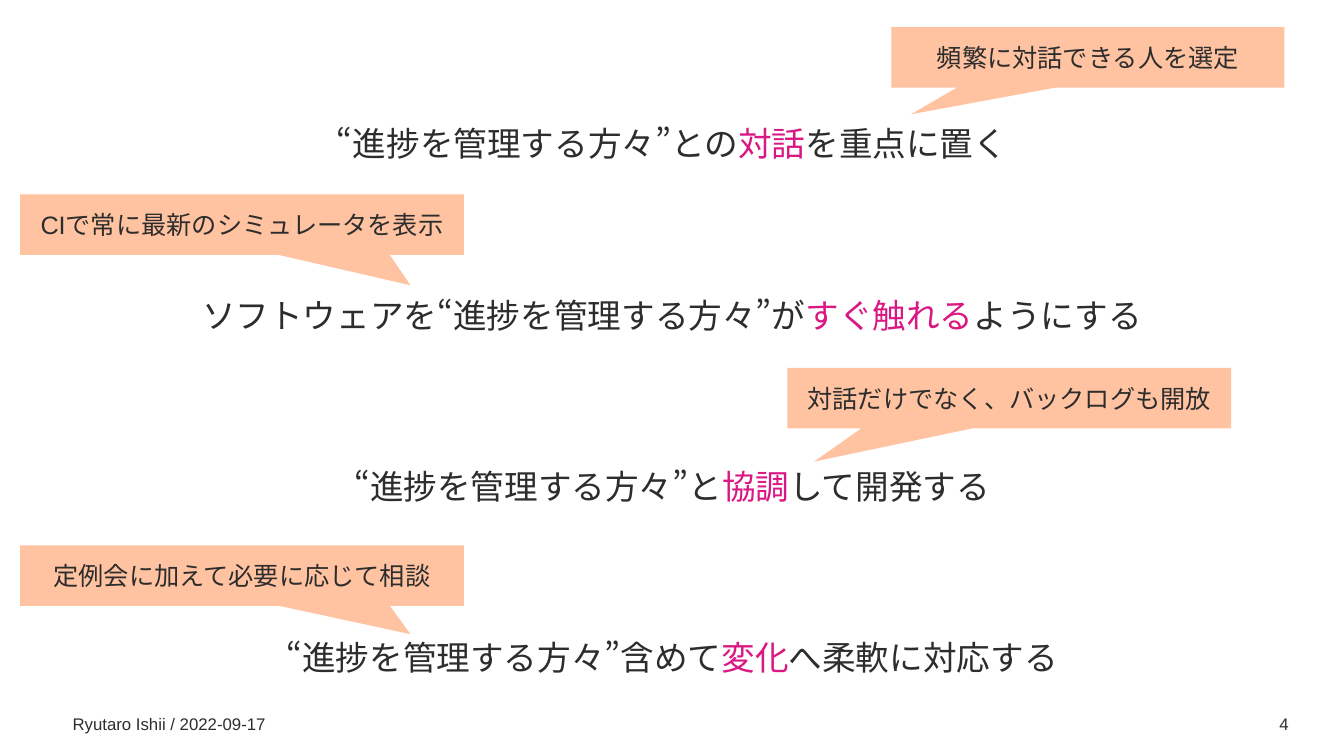
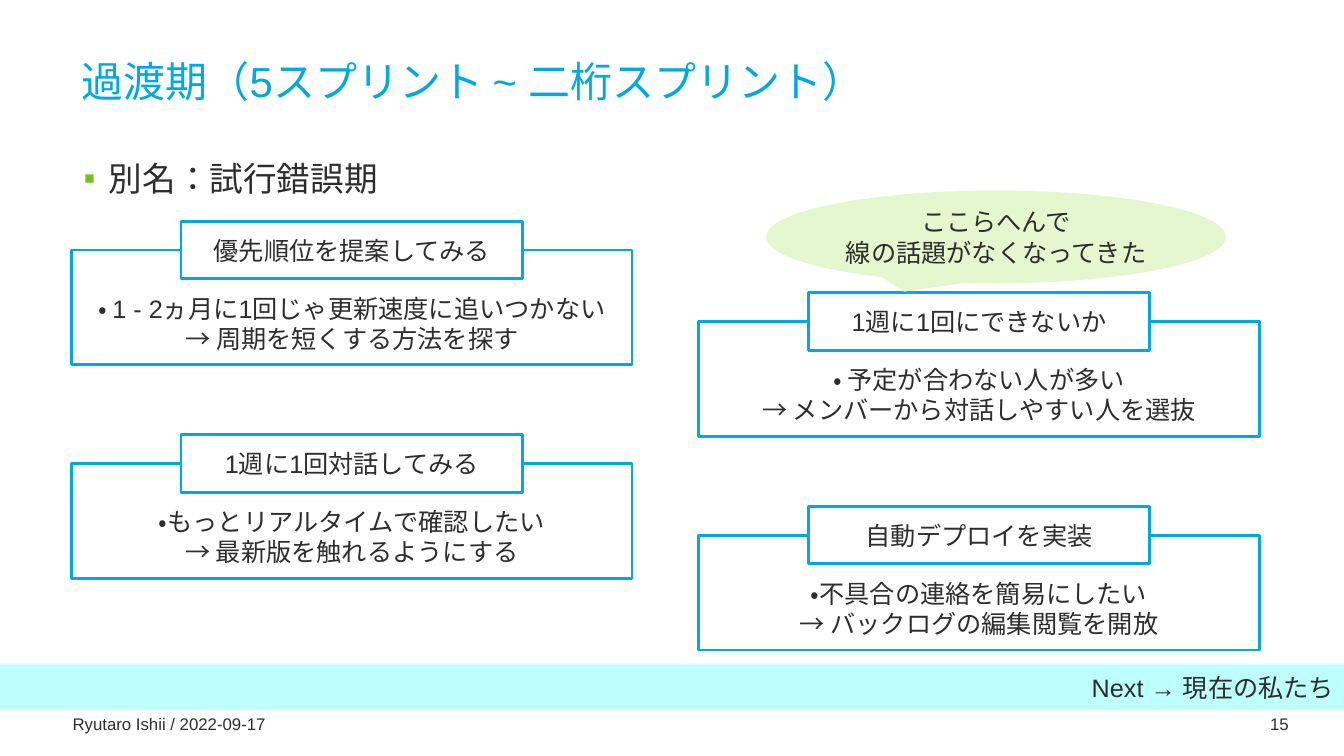
from lxml.etree import SubElement
from pptx import Presentation
from pptx.dml.color import RGBColor
from pptx.enum.lang import MSO_LANGUAGE_ID as Language
from pptx.enum.shapes import MSO_SHAPE as Shape
from pptx.enum.text import MSO_ANCHOR as Anchor, MSO_AUTO_SIZE as AutoSize, PP_ALIGN as Align
from pptx.oxml.ns import qn
from pptx.util import Inches, Pt

WIDTH, HEIGHT = 13.33, 7.5
FONT = "Arial"
INK = RGBColor(0x2D, 0x2D, 0x2D)
PINK = RGBColor(0xDA, 0x18, 0x84)
BLUE = RGBColor(0x00, 0xA9, 0xE0)
GREEN = RGBColor(0x78, 0xBE, 0x20)
PEACH = RGBColor(0xFF, 0xC3, 0xA1)
LIME = RGBColor(0xE5, 0xF7, 0xCE)
AQUA = RGBColor(0xBD, 0xFF, 0xFC)
WHITE = RGBColor(0xFF, 0xFF, 0xFF)

FOOTER = "Ryutaro Ishii / 2022-09-17"

# Each principle: words before, highlighted words, words after
PRINCIPLES = [
    ("“進捗を管理する方々”との", "対話", "を重点に置く"),
    ("ソフトウェアを“進捗を管理する方々”が", "すぐ触れる", "ようにする"),
    ("“進捗を管理する方々”と", "協調", "して開発する"),
    ("“進捗を管理する方々”含めて", "変化", "へ柔軟に対応する"),
]
# Each callout: text, left, top, width, pointer offsets
CALLOUTS = [
    ("頻繁に対話できる人を選定", 8.84, 0.27, 3.9, (-0.45, 0.94)),
    ("CIで常に最新のシミュレータを表示", 0.2, 1.93, 4.4, (0.38, 1)),
    ("対話だけでなく、バックログも開放", 7.81, 3.65, 4.4, (-0.44, 1.05)),
    ("定例会に加えて必要に応じて相談", 0.2, 5.41, 4.4, (0.38, 0.97)),
]
CALLOUT_HEIGHT = 0.6

PHASE_TITLE = "過渡期（5スプリント ~ 二桁スプリント）"
PHASE_ALIAS = "別名：試行錯誤期"
# Cards by column, top to bottom: heading, then lines
CARD_COLUMNS = [
    [
        ("優先順位を提案してみる",
         ["・ 1 - 2ヵ月に1回じゃ更新速度に追いつかない", "→ 周期を短くする方法を探す"]),
        ("1週に1回対話してみる",
         ["・もっとリアルタイムで確認したい", "→ 最新版を触れるようにする"]),
    ],
    [
        ("1週に1回にできないか",
         ["・ 予定が合わない人が多い", "→ メンバーから対話しやすい人を選抜"]),
        ("自動デプロイを実装",
         ["・不具合の連絡を簡易にしたい", "→ バックログの編集閲覧を開放"]),
    ],
]
CARD_LEFT, CARD_TOP, CARD_WIDTH, CARD_HEIGHT = 0.71, 2.48, 5.56, 1.14
COLUMN_STEP, ROW_STEP, STAGGER = 6.22, 2.12, 0.71
HEADING_WIDTH, HEADING_HEIGHT = 3.39, 0.57
BUBBLE_LINES = ["ここらへんで", "線の話題がなくなってきた"]
NEXT_TEXT = "Next → 現在の私たち"


def write(frame, lines, size=18, color=INK, align=Align.CENTER, anchor=Anchor.MIDDLE,
          wrap=True, margins=(0.1, 0.05, 0.1, 0.05), gap=0, line_height=None):
    """Fill a frame; a line is a string or a list of (text, colour) spans."""
    frame.auto_size = AutoSize.NONE
    frame.word_wrap = wrap
    frame.vertical_anchor = anchor
    (frame.margin_left, frame.margin_top,
     frame.margin_right, frame.margin_bottom) = map(Inches, margins)
    for index, line in enumerate(lines):
        para = frame.add_paragraph() if index else frame.paragraphs[0]
        para.alignment = align
        para.space_before = Pt(gap if index else 0)
        if line_height:
            para.line_spacing = Pt(line_height)
        spans = [(line, color)] if isinstance(line, str) else line
        for text, span_color in spans:
            span = para.add_run()
            span.text = text
            span.font.name = FONT
            span.font.size = Pt(size)
            span.font.color.rgb = span_color
            span.font.language_id = Language.JAPANESE


def place(shape, left, top, width, height):
    shape.left, shape.top = Inches(left), Inches(top)
    shape.width, shape.height = Inches(width), Inches(height)
    return shape.text_frame


def set_bullet(para, char=None, color=None, indent=0):
    props = para._p.get_or_add_pPr()
    props.set("marL", str(Inches(indent)))
    props.set("indent", str(-Inches(indent)))
    if char:
        fill = SubElement(props, qn("a:buClr"))
        SubElement(fill, qn("a:srgbClr"), val=str(color))
        SubElement(props, qn("a:buFont"), typeface=FONT)
        SubElement(props, qn("a:buChar"), char=char)
    else:
        SubElement(props, qn("a:buNone"))


def add_box(shapes, kind, at, lines, fill=None, line=None, pointer=(), **text_format):
    box = shapes.add_shape(kind, *map(Inches, at))
    box.shadow.inherit = False
    for index, offset in enumerate(pointer):
        box.adjustments[index] = offset
    if fill is None:
        box.fill.background()
    else:
        box.fill.solid()
        box.fill.fore_color.rgb = fill
    if line is None:
        box.line.fill.background()
    else:
        box.line.color.rgb = line
        box.line.width = Pt(2)
    write(box.text_frame, lines, **text_format)


def add_page(deck, number):
    """Add a title-and-body page with the shared footer."""
    page = deck.slides.add_slide(deck.slide_layouts[1])
    footer = page.shapes.add_textbox(*map(Inches, (0.72, 7.06, 5.47, 0.26)))
    write(footer.text_frame, [FOOTER], size=12, align=Align.LEFT, wrap=False,
          margins=(0, 0, 0.02, 0.01))
    counter = page.shapes.add_textbox(*map(Inches, (12.33, 7.03, 0.55, 0.29)))
    write(counter.text_frame, [str(number)], size=12, align=Align.RIGHT, anchor=Anchor.TOP)
    return page


def add_principles(deck):
    page = add_page(deck, 4)
    title = page.shapes.title
    title.element.getparent().remove(title.element)
    frame = place(page.placeholders[1], 0.7, 1.15, 11.93, 5.55)
    lines = [list(zip(parts, (INK, PINK, INK))) for parts in PRINCIPLES]
    write(frame, lines, size=24, anchor=Anchor.TOP, margins=(0.1, 0, 0.1, 0),
          gap=88.4, line_height=34)
    for para in frame.paragraphs:
        set_bullet(para)
    for text, left, top, width, pointer in CALLOUTS:
        add_box(page.shapes, Shape.RECTANGULAR_CALLOUT, (left, top, width, CALLOUT_HEIGHT),
                [text], fill=PEACH, pointer=pointer)


def add_card(page, left, top, heading, lines):
    shapes = page.shapes.add_group_shape().shapes
    add_box(shapes, Shape.RECTANGLE, (left, top, CARD_WIDTH, CARD_HEIGHT), lines,
            line=BLUE, margins=(0, 0.36, 0, 0.05))
    heading_at = (left + (CARD_WIDTH - HEADING_WIDTH) / 2, top - HEADING_HEIGHT / 2,
                  HEADING_WIDTH, HEADING_HEIGHT)
    add_box(shapes, Shape.RECTANGLE, heading_at, [heading], fill=WHITE, line=BLUE)


def add_transition(deck):
    page = add_page(deck, 15)
    write(place(page.shapes.title, 0.71, 0.52, 11.94, 0.57), [PHASE_TITLE],
          size=30, color=BLUE, align=Align.LEFT)
    frame = place(page.placeholders[1], 0.73, 1.48, 11.93, 0.57)
    write(frame, [PHASE_ALIAS], size=24, align=Align.LEFT)
    set_bullet(frame.paragraphs[0], "▪", GREEN, 0.25)
    for column, cards in enumerate(CARD_COLUMNS):
        for row, (heading, lines) in enumerate(cards):
            add_card(page, CARD_LEFT + column * COLUMN_STEP,
                     CARD_TOP + row * ROW_STEP + column * STAGGER, heading, lines)
    add_box(page.shapes, Shape.RECTANGLE, (0, 6.59, WIDTH, 0.45), [NEXT_TEXT],
            fill=AQUA, align=Align.RIGHT)
    add_box(page.shapes, Shape.OVAL_CALLOUT, (7.6, 1.89, 4.56, 0.92), BUBBLE_LINES,
            fill=LIME, pointer=(-0.2, 0.59))


def main():
    deck = Presentation()
    deck.slide_width, deck.slide_height = Inches(WIDTH), Inches(HEIGHT)
    add_principles(deck)
    add_transition(deck)
    deck.save("out.pptx")


if __name__ == "__main__":
    main()
